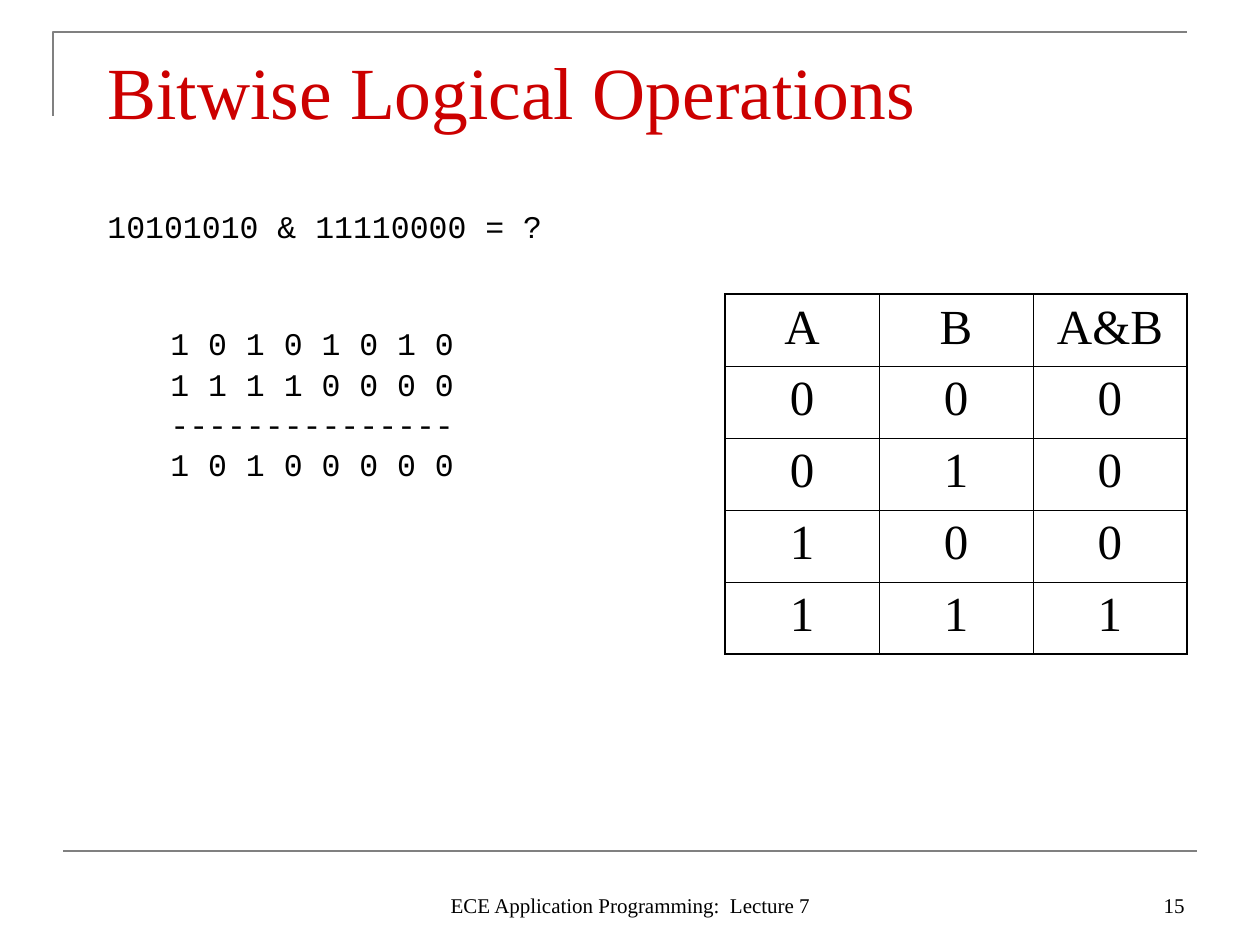
from dataclasses import dataclass

from lxml import etree
from pptx import Presentation
from pptx.dml.color import RGBColor
from pptx.enum.shapes import MSO_CONNECTOR
from pptx.enum.text import MSO_ANCHOR, PP_ALIGN
from pptx.oxml.ns import qn
from pptx.util import Pt

PX = 914400 / 126
LEFT, CENTER, RIGHT = PP_ALIGN.LEFT, PP_ALIGN.CENTER, PP_ALIGN.RIGHT
TOP, MIDDLE, BOTTOM = MSO_ANCHOR.TOP, MSO_ANCHOR.MIDDLE, MSO_ANCHOR.BOTTOM
STRAIGHT = MSO_CONNECTOR.STRAIGHT
SERIF, MONO = "Times New Roman", "Courier New"
COLORS = {"title": "CC0000", "text": "000000", "rule": "808080"}
OUTER, INNER = 1.08, 0.45


@dataclass
class Para:
    lines: list[str]
    before: float = 0


@dataclass
class Label:
    box: tuple[int, int, int, int]
    paras: list[Para]
    size: float = 12
    font: str = SERIF
    color: str = "text"
    align: PP_ALIGN = LEFT
    anchor: MSO_ANCHOR = TOP
    spacing: float = 1.0


def px(n: int) -> int:
    return round(n * PX)


def rgb(name: str) -> RGBColor:
    return RGBColor.from_string(COLORS[name])


def add_run(p, text: str, size: float, font: str, color: str) -> None:
    r = p.add_run()
    r.text = text
    r.font.size = Pt(size)
    r.font.name = font
    r.font.color.rgb = rgb(color)


def add_label(s, label: Label) -> None:
    tf = s.shapes.add_textbox(*map(px, label.box)).text_frame
    tf.word_wrap = True
    tf.vertical_anchor = label.anchor
    for i, para in enumerate(label.paras):
        p = tf.add_paragraph() if i else tf.paragraphs[0]
        p.alignment = label.align
        p.line_spacing = label.spacing
        p.space_before = Pt(para.before)
        for j, line in enumerate(para.lines):
            if j:
                p.add_line_break()
            add_run(p, line, label.size, label.font, label.color)


def style_line(sp) -> None:
    sp.line.color.rgb = rgb("rule")
    sp.line.width = Pt(1.5)


def add_border(cell, side: str, width: float) -> None:
    ln = etree.SubElement(cell._tc.get_or_add_tcPr(), qn(f"a:ln{side}"), w=str(Pt(width)))
    fill = etree.SubElement(ln, qn("a:solidFill"))
    etree.SubElement(fill, qn("a:srgbClr"), val=COLORS["text"])


def add_truth_table(s, rows: list[list[str]], left: int, top: int, col_w: int, row_h: int) -> None:
    n_rows, n_cols = len(rows), len(rows[0])
    size = (px(col_w * n_cols), px(row_h * n_rows))
    table = s.shapes.add_table(n_rows, n_cols, px(left), px(top), *size).table
    table.first_row = table.horz_banding = False
    for col in table.columns:
        col.width = px(col_w)
    for i, values in enumerate(rows):
        table.rows[i].height = px(row_h)
        for j, value in enumerate(values):
            cell = table.cell(i, j)
            edges = {"L": j == 0, "R": j == n_cols - 1, "T": i == 0, "B": i == n_rows - 1}
            for side, is_outer in edges.items():
                add_border(cell, side, OUTER if is_outer else INNER)
            cell.fill.background()
            p = cell.text_frame.paragraphs[0]
            p.alignment = CENTER
            p.space_before = Pt(7)
            add_run(p, value, 28, SERIF, "text")


prs = Presentation()
prs.slide_width, prs.slide_height = px(1260), px(945)
s = prs.slides.add_slide(prs.slide_layouts[6])

# Corner rule at the top
builder = s.shapes.build_freeform(53, 116, scale=PX)
builder.add_line_segments([(53, 32), (1187, 32)], close=False)
corner = builder.convert_to_shape()
corner.shadow.inherit = False
corner.fill.background()
style_line(corner)

# Footer rule
rule = s.shapes.add_connector(STRAIGHT, px(63), px(851), px(1197), px(851))
etree.SubElement(rule._element.spPr, qn("a:effectLst"))
style_line(rule)

# Title, worked example and footer
example = [
    Para(["10101010 & 11110000 = ?"], before=11.2),
    Para(["\t1 0 1 0 1 0 1 0", "\t1 1 1 1 0 0 0 0",
          "\t---------------", "\t1 0 1 0 0 0 0 0"], before=44),
]
labels = [
    Label((95, 32, 1071, 116), [Para(["Bitwise Logical Operations"])],
          size=42, color="title", anchor=MIDDLE),
    Label((95, 199, 662, 336), example, size=18, font=MONO, spacing=1.06),
    Label((431, 861, 399, 63), [Para(["ECE Application Programming:  Lecture 7"])],
          align=CENTER, anchor=BOTTOM),
    Label((903, 861, 294, 63), [Para(["15"])], align=RIGHT, anchor=BOTTOM),
]
for label in labels:
    add_label(s, label)

# Truth table of A & B
inputs = [(a, b) for a in (0, 1) for b in (0, 1)]
truth = [["A", "B", "A&B"]] + [[str(a), str(b), str(a & b)] for a, b in inputs]
add_truth_table(s, truth, left=725, top=294, col_w=154, row_h=72)

prs.save("out.pptx")
